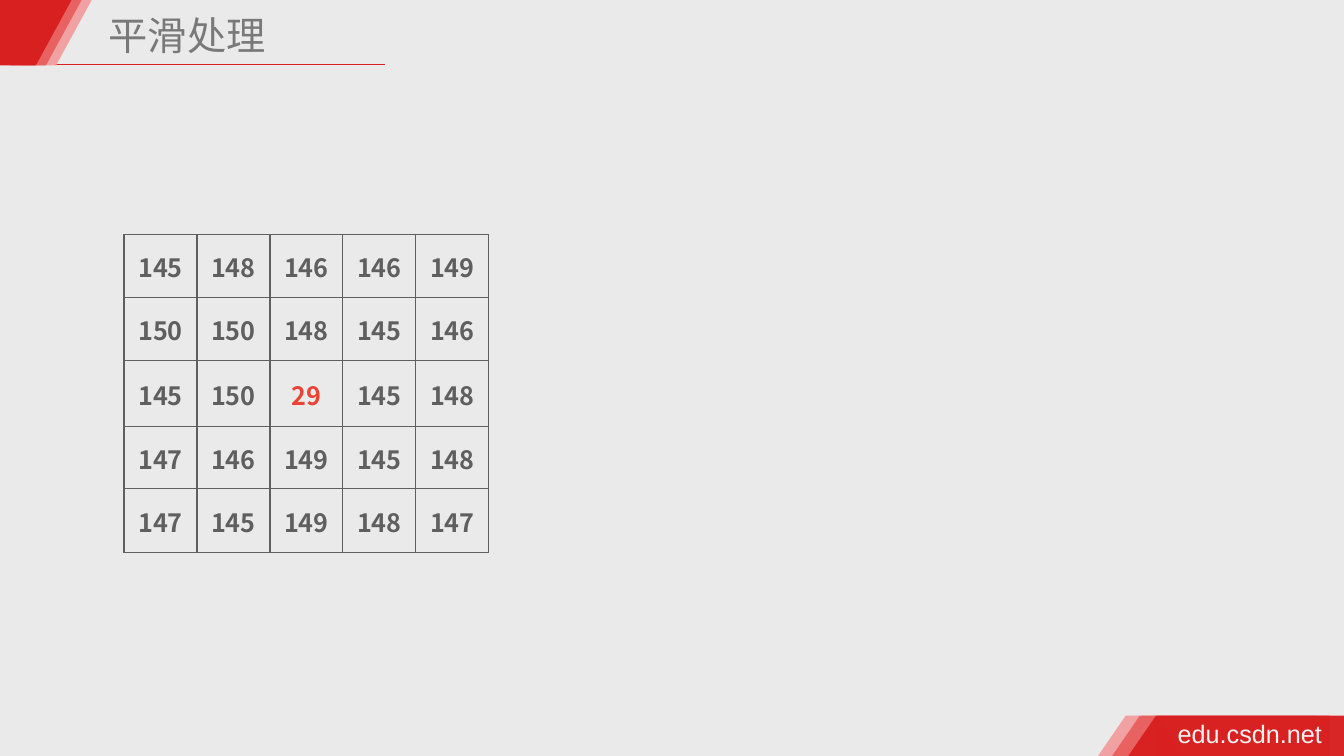
"""Build the smoothing slide with its grid of pixel values."""
import pptx
import pptx.dml.color
import pptx.enum.shapes
import pptx.enum.text
import pptx.oxml
import pptx.oxml.ns
import pptx.util
from lxml import etree

Inches = pptx.util.Inches
Pt = pptx.util.Pt
qn = pptx.oxml.ns.qn
Kind = pptx.enum.shapes.MSO_SHAPE
Align = pptx.enum.text.PP_ALIGN
Anchor = pptx.enum.text.MSO_ANCHOR

RED, ROSE, PINK = "D82020", "E86262", "F1A1A1"
GRAY, MARK = "5F5F5F", "EA4335"
SANS = "Noto Sans CJK SC"

GRID = [
    [145, 148, 146, 146, 149],
    [150, 150, 148, 145, 146],
    [145, 150, 29, 145, 148],
    [147, 146, 149, 145, 148],
    [147, 145, 149, 148, 147],
]
ROWS = [0.62, 0.63, 0.65, 0.62, 0.63]


def tint(code):
    return pptx.dml.color.RGBColor.from_string(code)


class Deck:
    def __init__(self, back):
        self.show = pptx.Presentation()
        self.show.slide_width = Inches(13.33)
        self.show.slide_height = Inches(7.5)
        self.slide = self.show.slides.add_slide(self.show.slide_layouts[6])
        self.slide.background.fill.solid()
        self.slide.background.fill.fore_color.rgb = tint(back)
        self.shapes = self.slide.shapes

    def font(self, para, size, color, face, bold=False):
        para.font.size = Pt(size)
        para.font.bold = bold
        para.font.name = face
        para.font.color.rgb = tint(color)
        for run in para.runs:
            east = etree.SubElement(run._r.get_or_add_rPr(), qn("a:ea"))
            east.set("typeface", face)

    def line(self, left, top, right, color):
        rule = self.shapes.add_connector(
            pptx.enum.shapes.MSO_CONNECTOR.STRAIGHT,
            Inches(left), Inches(top), Inches(right), Inches(top))
        rule.line.color.rgb = tint(color)
        rule.line.width = Pt(1)
        etree.SubElement(rule._element.spPr, qn("a:effectLst"))

    def shape(self, kind, box, color, turn=0, alpha=100):
        item = self.shapes.add_shape(kind, *map(Inches, box))
        item.shadow.inherit = False
        item.fill.solid()
        item.fill.fore_color.rgb = tint(color)
        item.line.fill.background()
        item.rotation = turn
        if alpha < 100:
            shade = item._element.spPr.find(".//" + qn("a:srgbClr"))
            etree.SubElement(shade, qn("a:alpha")).set("val", str(alpha * 1000))

    def text(self, words, box, size, color, face, wrap=True, space=1.0):
        frame = self.shapes.add_textbox(*map(Inches, box)).text_frame
        frame.word_wrap = wrap
        frame.margin_left = frame.margin_right = Inches(0.05)
        frame.margin_top = frame.margin_bottom = Inches(0.05)
        para = frame.paragraphs[0]
        para.text = words
        para.line_spacing = space
        self.font(para, size, color, face)

    def edge(self, cell, color):
        props = cell._tc.get_or_add_tcPr()
        for spot, side in enumerate(("lnL", "lnR", "lnT", "lnB")):
            rule = etree.Element(qn("a:" + side), w=str(Pt(1)))
            fill = etree.SubElement(rule, qn("a:solidFill"))
            etree.SubElement(fill, qn("a:srgbClr")).set("val", color)
            props.insert(spot, rule)

    def table(self, grid, left, top, width, rows):
        table = self.shapes.add_table(
            len(grid), len(grid[0]), Inches(left), Inches(top),
            Inches(width), Inches(sum(rows))).table
        table.first_row = table.horz_banding = False
        for row, height in zip(table.rows, rows):
            row.height = Inches(height)
        for row, values in zip(table.rows, grid):
            for cell, value in zip(row.cells, values):
                cell.fill.background()
                self.edge(cell, GRAY)
                cell.vertical_anchor = Anchor.MIDDLE
                cell.margin_left = cell.margin_right = Inches(0.01)
                cell.margin_top, cell.margin_bottom = Inches(0.01), 0
                para = cell.text_frame.paragraphs[0]
                para.text = str(value)
                para.alignment = Align.CENTER
                self.font(para, 18, MARK if value == 29 else GRAY, SANS, True)


def main():
    deck = Deck("EAEAEA")
    deck.line(0.49, 0.64, 3.82, RED)
    for left, color, alpha in ((10.89, PINK, 100), (11.03, ROSE, 100), (11.19, RED, 97)):
        start = left + 0.28
        wide = min(1.88, 13.33 - start)
        deck.shape(Kind.RECTANGLE, (start, 7.1, wide, 0.4), color, alpha=alpha)
        deck.shape(Kind.ISOSCELES_TRIANGLE, (left, 7.1, 0.55, 0.4), color, alpha=alpha)
    deck.text("edu.csdn.net", (11.63, 7.08, 1.55, 0.4), 18, "F2F2F2", "Arial", wrap=False)
    for left, color in ((0.2, PINK), (0.1, ROSE), (0, RED)):
        deck.shape(Kind.RECTANGLE, (left, 0, 0.35, 0.65), color)
        deck.shape(Kind.ISOSCELES_TRIANGLE, (left, 0, 0.71, 0.65), color, turn=180)
    deck.text("平滑处理", (1.03, 0.12, 4.36, 0.53), 28, "797979", SANS, space=0.9)
    deck.table(GRID, 1.23, 2.33, 3.62, ROWS)
    deck.show.save("out.pptx")


if __name__ == "__main__":
    main()
